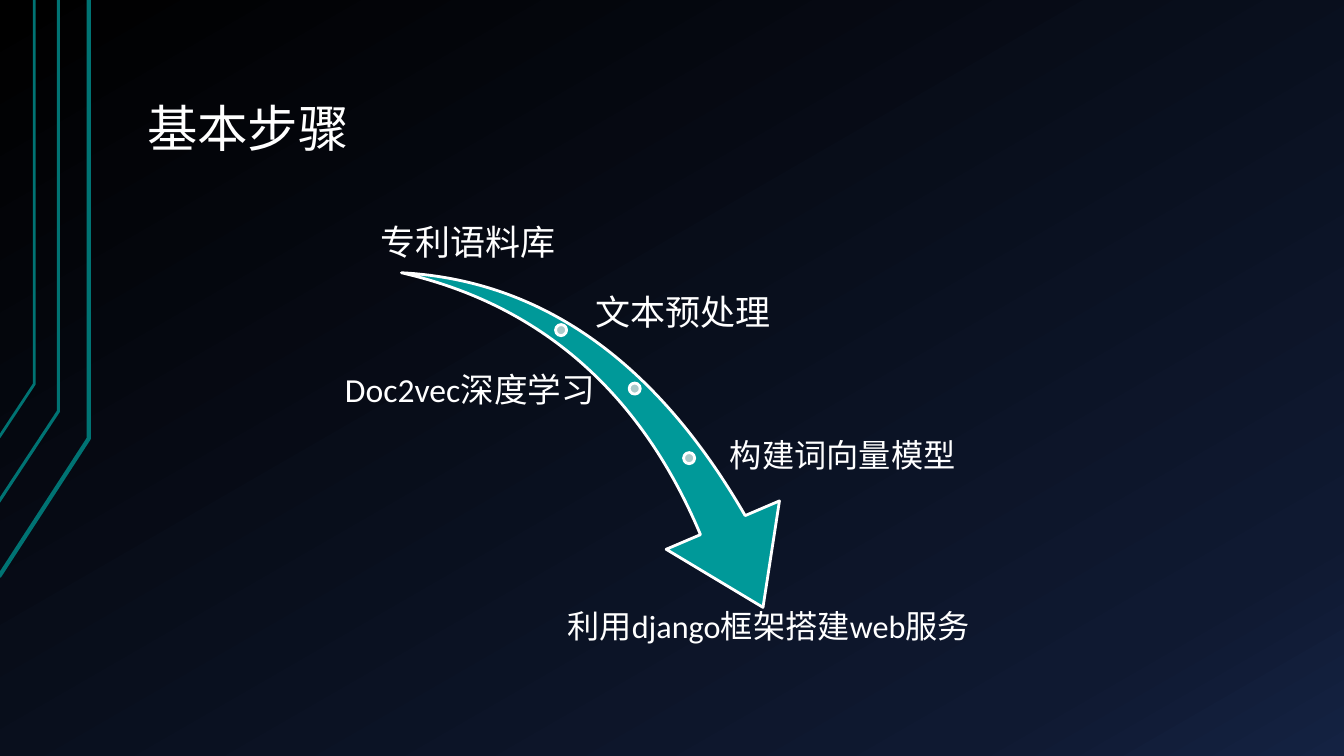
from copy import deepcopy

from pptx import Presentation
from pptx.dml.color import RGBColor
from pptx.enum.shapes import MSO_SHAPE as Shape
from pptx.enum.text import MSO_ANCHOR as Anchor, PP_ALIGN as Align
from pptx.util import Inches, Pt

HUES = {
    "black": "000000", "navy": "0F1931", "blue": "142242",
    "rail": "007373", "teal": "009999", "dot": "ABCACA", "white": "FFFFFF",
}


def hue(name):
    return RGBColor.from_string(HUES[name])


def write(text, box, size=23, font="Calibri", align=Align.LEFT,
          anchor=Anchor.MIDDLE, pad=(0.03, 0.03)):
    frame = slide.shapes.add_textbox(*map(Inches, box)).text_frame
    frame.word_wrap = True
    frame.vertical_anchor = anchor
    frame.margin_left = frame.margin_right = Inches(pad[0])
    frame.margin_top = frame.margin_bottom = Inches(pad[1])
    para = frame.paragraphs[0]
    para.alignment = align
    para.line_spacing = 0.9
    run = para.add_run()
    run.text = text
    run.font.size = Pt(size)
    run.font.name = font
    run.font.color.rgb = hue("white")


deck = Presentation()
deck.slide_width, deck.slide_height = Inches(13.33), Inches(7.5)
slide = deck.slides.add_slide(deck.slide_layouts[6])

# Background gradient with three stops
fill = slide.background.fill
fill.gradient()
fill.gradient_angle = 300
stops = slide.element.xpath(".//p:bgPr//a:gs")
stops[-1].addnext(deepcopy(stops[-1]))
shades = [(0, "black"), (0.85, "navy"), (1, "blue")]
for stop, (place, name) in zip(fill.gradient_stops, shades):
    stop.position = place
    stop.color.rgb = hue(name)

# Rails at the left edge: start x, start y, bend x, bend y, width
rails = [
    (-0.01, 5.72, 0.88, 4.35, 3),
    (-0.02, 4.99, 0.58, 4.08, 2.25),
    (-0.01, 4.34, 0.34, 3.81, 2),
]
for x, y, bend, knee, width in rails:
    path = slide.shapes.build_freeform(Inches(x), Inches(y))
    path.add_line_segments(
        [(Inches(bend), Inches(knee)), (Inches(bend), 0)], close=False)
    rail = path.convert_to_shape()
    rail.shadow.inherit = False
    rail.fill.background()
    rail.line.color.rgb = hue("rail")
    rail.line.width = Pt(width)

# Title
write("基本步骤", (1.33, 0.3, 11.33, 1.34), size=36, font="Lato",
      anchor=Anchor.BOTTOM, pad=(0.13, 0.07))

# Swoosh arrow and the dots along it
marks = [(Shape.SWOOSH_ARROW, (3.89, 2.83, 4.21, 2.94), "teal")]
for x, y in [(5.51, 3.22), (6.24, 3.8), (6.78, 4.49)]:
    marks.append((Shape.OVAL, (x, y, 0.11, 0.11), "dot"))
for kind, box, name in marks:
    mark = slide.shapes.add_shape(kind, *map(Inches, box))
    mark.shadow.inherit = False
    mark.fill.solid()
    mark.fill.fore_color.rgb = hue(name)
    mark.line.color.rgb = hue("white")
    mark.line.width = Pt(2)
    if kind == Shape.SWOOSH_ARROW:
        mark.rotation = 73.3
        mark.adjustments[0] = 0.163
        mark.adjustments[1] = 0.314

# Step labels
write("专利语料库", (3.65, 1.86, 1.99, 0.78), size=25,
      align=Align.CENTER, anchor=Anchor.BOTTOM)
write("文本预处理", (5.88, 2.73, 2.9, 0.78), size=25)
write("Doc2vec深度学习", (2.8, 3.36, 3.13, 1.05), size=24, align=Align.RIGHT)
write("构建词向量模型", (7.21, 4.22, 2.73, 0.62))
write("利用django框架搭建web服务", (4.54, 6.03, 6.17, 0.63),
      align=Align.CENTER, anchor=Anchor.TOP)

deck.save("out.pptx")
